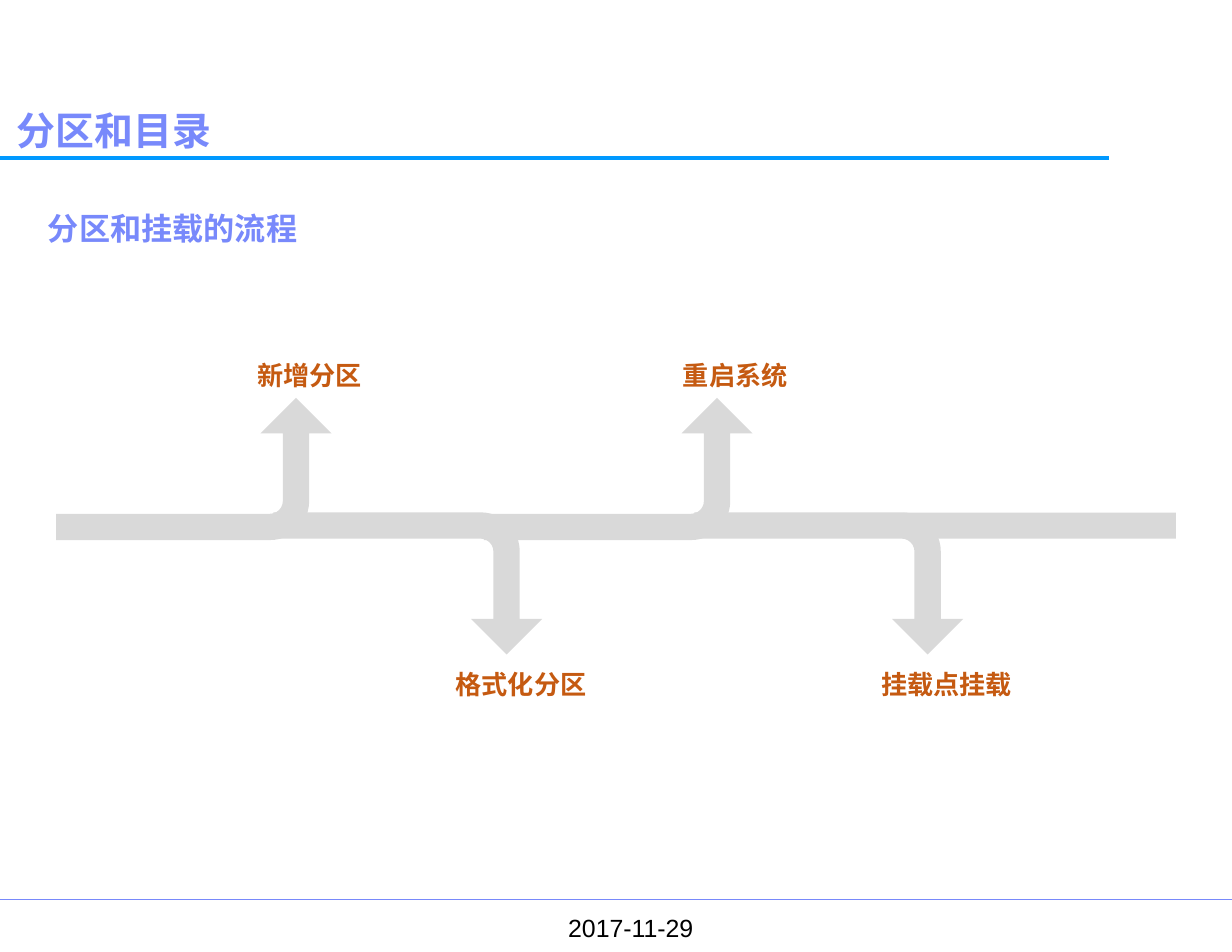
import dataclasses

import lxml.etree
import pptx
import pptx.dml.color
import pptx.enum.shapes
import pptx.enum.text
import pptx.oxml.ns
import pptx.util

ALIGN = pptx.enum.text.PP_ALIGN
ANCHOR = pptx.enum.text.MSO_ANCHOR
SHAPE = pptx.enum.shapes.MSO_SHAPE


@dataclasses.dataclass(frozen=True)
class Theme:
    heading: str = "7889FB"
    rule: str = "0099FF"
    label: str = "C55A11"
    flow: str = "D9D9D9"
    date: str = "000000"
    heading_font: str = "Arial"
    label_font: str = "Calibri"
    title_size: float = 25
    subtitle_size: float = 20
    label_size: float = 16.8
    date_size: float = 16
    title_rule_width: float = 2.25
    footer_rule_width: float = 0.5


@dataclasses.dataclass(frozen=True)
class Box:
    left: int
    top: int
    width: int
    height: int

    def percent(self, left, top, width, height):
        return Box(
            round(self.left + self.width * left / 100),
            round(self.top + self.height * top / 100),
            round(self.width * width / 100),
            round(self.height * height / 100),
        )

    def turned(self):
        shift = (self.width - self.height) // 2
        return Box(self.left + shift, self.top - shift, self.height, self.width)

    def bounds(self):
        return self.left, self.top, self.width, self.height


THEME = Theme()
STEPS = ["新增分区", "格式化分区", "重启系统", "挂载点挂载"]


def color(value):
    return pptx.dml.color.RGBColor.from_string(value)


def add_text(slide, box, text, size, ink, font=THEME.heading_font, bold=True,
             anchor=ANCHOR.TOP, align=None, spacing=None, side_margin=0.1):
    frame = slide.shapes.add_textbox(*box.bounds()).text_frame
    frame.word_wrap = True
    frame.vertical_anchor = anchor
    frame.margin_left = frame.margin_right = pptx.util.Inches(side_margin)
    paragraph = frame.paragraphs[0]
    paragraph.text = text
    paragraph.alignment = align
    paragraph.line_spacing = spacing
    paragraph.font.name = font
    paragraph.font.size = pptx.util.Pt(size)
    paragraph.font.bold = bold
    paragraph.font.color.rgb = color(ink)


def add_rule(slide, box, ink, width):
    connector = slide.shapes.add_connector(
        pptx.enum.shapes.MSO_CONNECTOR.STRAIGHT,
        box.left, box.top, box.left + box.width, box.top)
    connector.line.color.rgb = color(ink)
    connector.line.width = pptx.util.Pt(width)
    properties = connector.element.spPr
    lxml.etree.SubElement(properties, pptx.oxml.ns.qn("a:effectLst"))


def add_flow_shape(slide, kind, box):
    shape = slide.shapes.add_shape(kind, *box.bounds())
    shape.shadow.inherit = False
    shape.fill.solid()
    shape.fill.fore_color.rgb = color(THEME.flow)
    shape.line.fill.background()
    return shape


def add_branch(slide, box, upward):
    shape = add_flow_shape(slide, SHAPE.BENT_ARROW, box.turned())
    for index, value in enumerate([0.185, 0.25, 0.25, 0.276]):
        shape.adjustments[index] = value
    shape.rotation = 270 if upward else 90
    if upward:
        shape.element.spPr.xfrm.set("flipV", "1")


def build_header(slide, box):
    add_text(slide, box.percent(1.36, 0, 72.3, 34.7), "分区和目录",
             THEME.title_size, THEME.heading, anchor=ANCHOR.BOTTOM, side_margin=0)
    add_rule(slide, box.percent(0, 34.3, 90, 0), THEME.rule, THEME.title_rule_width)
    add_text(slide, box.percent(3, 50.6, 74.5, 49.4), "分区和挂载的流程",
             THEME.subtitle_size, THEME.heading)


def build_flow(slide, box):
    pitch, first_end, length = 18.8, 24.6, 24
    label_height, branch_height = 14.3, 39.4
    for index, step in enumerate(STEPS):
        pair, lower = divmod(index, 2)
        end = first_end + pitch * index
        start = end - length if index else 0
        branch_top = 46.1 if lower else 14.4
        add_branch(slide, box.percent(start, branch_top, end - start, branch_height),
                   upward=not lower)
        label_top = 100 - label_height if lower else 0
        label_left = 17 + 38 * pair + 17.7 * lower
        add_text(slide, box.percent(label_left, label_top, 22.3, label_height), step,
                 THEME.label_size, THEME.label, THEME.label_font,
                 anchor=ANCHOR.MIDDLE, align=ALIGN.JUSTIFY, spacing=1.2)
    add_flow_shape(slide, SHAPE.RECTANGLE, box.percent(75.7, 46.2, 24.3, 7.2))


def build_footer(slide, box):
    add_rule(slide, box.percent(0, 0, 100, 0), THEME.heading, THEME.footer_rule_width)
    add_text(slide, box.percent(21.2, 15, 60, 85), "2017-11-29", THEME.date_size,
             THEME.date, bold=False, align=ALIGN.CENTER)


def main():
    presentation = pptx.Presentation()
    presentation.slide_width = pptx.util.Inches(11)
    presentation.slide_height = pptx.util.Inches(8.5)
    slide = presentation.slides.add_slide(presentation.slide_layouts[6])
    page = Box(0, 0, presentation.slide_width, presentation.slide_height)
    build_header(slide, page.percent(0, 6.47, 100, 29.5))
    build_flow(slide, page.percent(4.55, 36.35, 90.9, 37.9))
    build_footer(slide, page.percent(0, 94.47, 100, 5.53))
    presentation.save("out.pptx")


if __name__ == "__main__":
    main()
